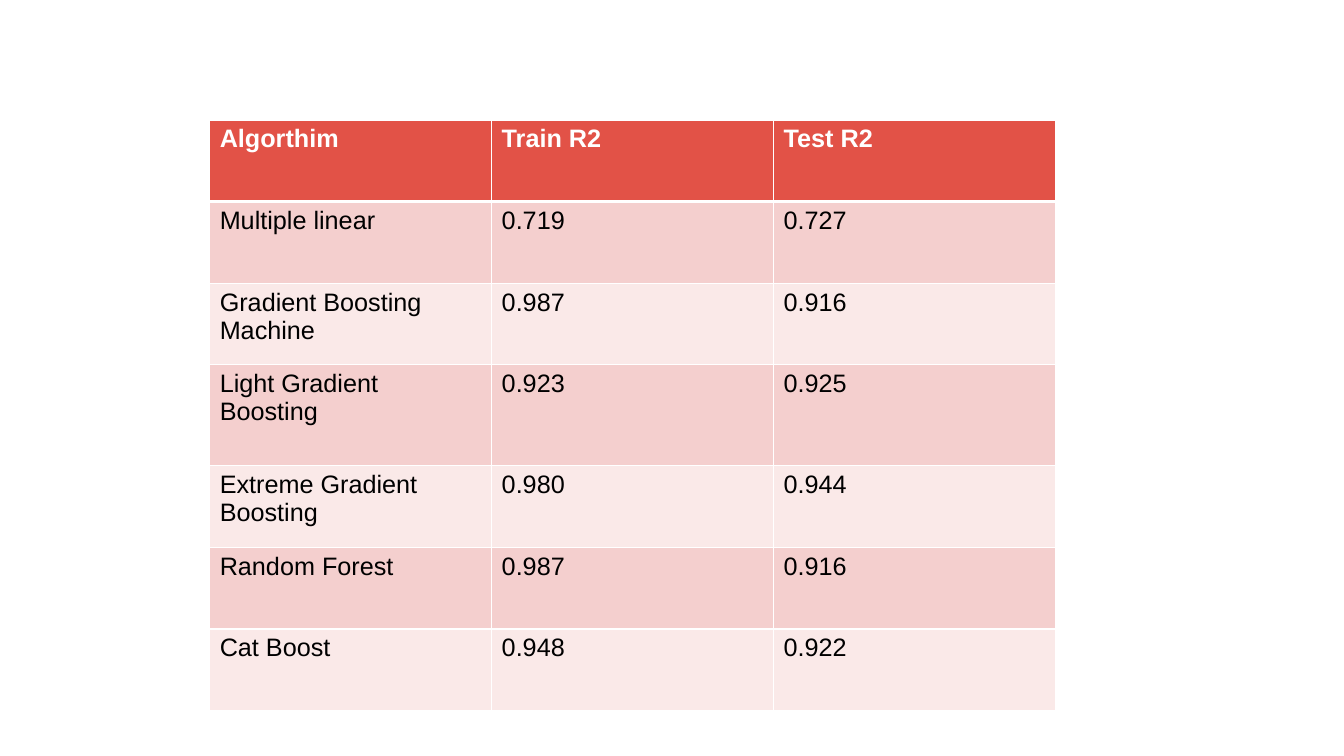
"""Build a slide with a table of train and test R2 for each algorithm."""
import pptx
import pptx.dml.color
import pptx.oxml
import pptx.oxml.ns
import pptx.util

ROWS = [
    ("Algorthim", "Train R2", "Test R2"),
    ("Multiple linear", "0.719", "0.727"),
    ("Gradient Boosting Machine", "0.987", "0.916"),
    ("Light Gradient Boosting", "0.923", "0.925"),
    ("Extreme Gradient Boosting", "0.980", "0.944"),
    ("Random Forest", "0.987", "0.916"),
    ("Cat Boost", "0.948", "0.922"),
]
THEME = {
    "font": "Arial", "size": 18, "head": "E25247", "bands": ("FAE9E8", "F4CFCE"),
    "light": "FFFFFF", "dark": "000000", "thin": 1, "thick": 3,
}
WIDE, HIGH = 13.33, 7.5
LEFT, TOP, SPAN = 2.08, 1.19, 8.39
ROW, TALL = 0.81, {3: 1.0}

inch = pptx.util.Inches
color = pptx.dml.color.RGBColor.from_string


def edge(cell, sides):
    """Draw the cell's borders, given widths in points by side."""
    for spot, (side, width) in enumerate(sides.items()):
        line = pptx.oxml.parse_xml(
            f'<a:ln{side} {pptx.oxml.ns.nsdecls("a")} w="{pptx.util.Pt(width)}">'
            f'<a:solidFill><a:srgbClr val="{THEME["light"]}"/></a:solidFill></a:ln{side}>')
        cell._tc.get_or_add_tcPr().insert(spot, line)


def write(cell, text, row):
    """Fill one cell with its text, colour and borders."""
    head = row == 0
    cell.fill.solid()
    cell.fill.fore_color.rgb = color(THEME["head"] if head else THEME["bands"][row % 2])
    run = cell.text_frame.paragraphs[0].add_run()
    run.text = text
    run.font.name = THEME["font"]
    run.font.size = pptx.util.Pt(THEME["size"])
    run.font.bold = head
    run.font.color.rgb = color(THEME["light" if head else "dark"])
    thin, thick = THEME["thin"], THEME["thick"]
    edge(cell, {"L": thin, "R": thin, "T": thick if row == 1 else thin,
                "B": thick if head else thin})


def main():
    """Make the slide and save it."""
    deck = pptx.Presentation()
    deck.slide_width, deck.slide_height = inch(WIDE), inch(HIGH)
    slide = deck.slides.add_slide(deck.slide_layouts[6])
    highs = [TALL.get(row, ROW) for row in range(len(ROWS))]
    table = slide.shapes.add_table(
        len(ROWS), len(ROWS[0]), inch(LEFT), inch(TOP), inch(SPAN), inch(sum(highs))).table
    for row, texts in enumerate(ROWS):
        table.rows[row].height = inch(highs[row])
        for col, text in enumerate(texts):
            write(table.cell(row, col), text, row)
    deck.save("out.pptx")


if __name__ == "__main__":
    main()
